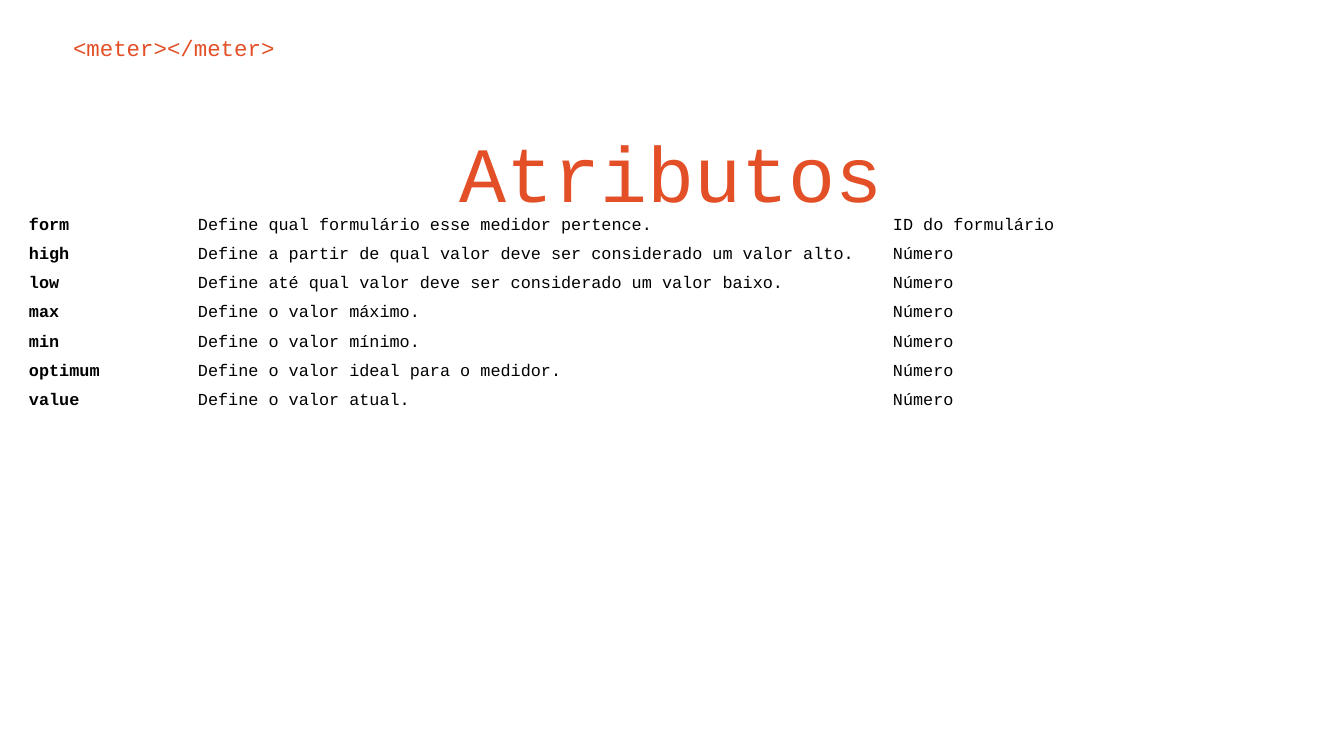
import pptx
import pptx.util
import pptx.dml.color
import pptx.enum.text

PX = 6804  # EMU per px, at 134.4 px to the inch
FONT = "Courier New"
COLORS = {"heading": "E34F26", "text": "000000"}
ATTRIBUTES = [
    ("form", "Define qual formulário esse medidor pertence.", "ID do formulário"),
    ("high", "Define a partir de qual valor deve ser considerado um valor alto.", "Número"),
    ("low", "Define até qual valor deve ser considerado um valor baixo.", "Número"),
    ("max", "Define o valor máximo.", "Número"),
    ("min", "Define o valor mínimo.", "Número"),
    ("optimum", "Define o valor ideal para o medidor.", "Número"),
    ("value", "Define o valor atual.", "Número"),
]
COLUMN_WIDTHS = [169, 695, 415]
ROW_HEIGHT = 27


def style(p, size, color, bold=False):
    p.font.name = FONT
    p.font.size = pptx.util.Pt(size)
    p.font.bold = bold
    p.font.color.rgb = pptx.dml.color.RGBColor.from_string(COLORS[color])


prs = pptx.Presentation()
prs.slide_width = 1344 * PX
prs.slide_height = 756 * PX
s = prs.slides.add_slide(prs.slide_layouts[5])

# Headings
tag = s.shapes.add_textbox(60 * PX, 17 * PX, 1234 * PX, 56 * PX)
title = s.shapes.title
title.left, title.top, title.width, title.height = 95 * PX, 97 * PX, 1152 * PX, 116 * PX
for sp, text, size, align in [
    (tag, "<meter></meter>", 12, pptx.enum.text.PP_ALIGN.LEFT),
    (title, "Atributos", 42, pptx.enum.text.PP_ALIGN.CENTER),
]:
    tf = sp.text_frame
    tf.word_wrap = True
    tf.auto_size = pptx.enum.text.MSO_AUTO_SIZE.NONE
    tf.vertical_anchor = pptx.enum.text.MSO_ANCHOR.TOP
    tf.margin_left = tf.margin_right = tf.margin_top = tf.margin_bottom = 13 * PX
    p = tf.paragraphs[0]
    p.text = text
    p.alignment = align
    p.line_spacing = 1.15
    style(p, size, "heading")

# Attribute table
table = s.shapes.add_table(
    len(ATTRIBUTES), len(COLUMN_WIDTHS), 24 * PX, 212 * PX,
    sum(COLUMN_WIDTHS) * PX, len(ATTRIBUTES) * ROW_HEIGHT * PX,
).table
table.first_row = table.horz_banding = False
for column, width in zip(table.columns, COLUMN_WIDTHS):
    column.width = width * PX
for row, values in zip(table.rows, ATTRIBUTES):
    row.height = ROW_HEIGHT * PX
    for i, (cell, value) in enumerate(zip(row.cells, values)):
        cell.fill.background()
        cell.margin_left = cell.margin_right = 5 * PX
        cell.margin_top = cell.margin_bottom = 5 * PX
        p = cell.text_frame.paragraphs[0]
        p.text = value
        style(p, 9, "text", bold=i == 0)

prs.save("out.pptx")
